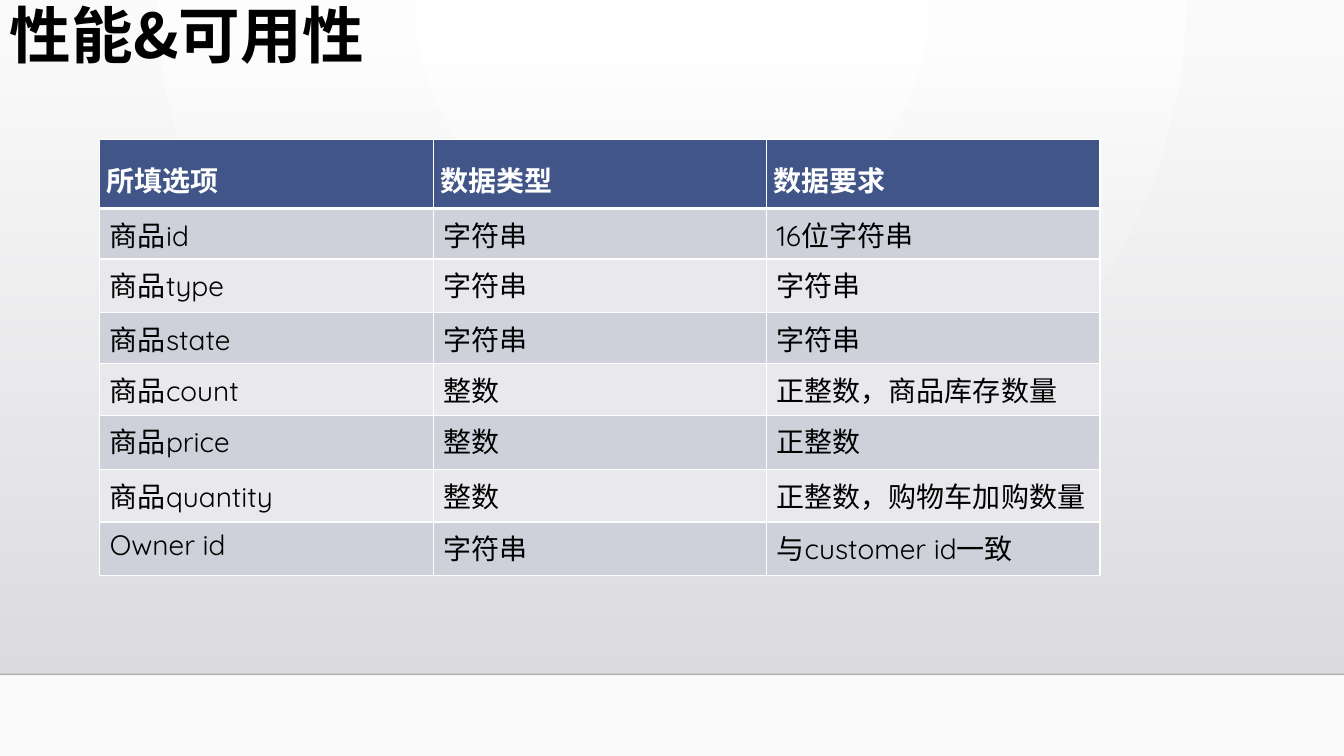
from lxml import etree
from pptx import Presentation
from pptx.dml.color import RGBColor
from pptx.enum.shapes import MSO_CONNECTOR, MSO_SHAPE
from pptx.enum.text import PP_ALIGN
from pptx.oxml.ns import qn
from pptx.util import Inches, Pt

RECTANGLE = MSO_SHAPE.RECTANGLE
STRAIGHT = MSO_CONNECTOR.STRAIGHT
JUSTIFY = PP_ALIGN.JUSTIFY

SLIDE_WIDTH, SLIDE_HEIGHT = 13.33, 7.5
LATIN_FONT, CHINESE_FONT = "Quicksand", "Noto Sans CJK SC"
COLORS = {
    "white": "FFFFFF",
    "background_edge": "FAFAFA",
    "panel_top": "DCDCE0",
    "panel_bottom": "DEDEE2",
    "floor_line": "000001",
    "text": "000000",
    "header": "415588",
    "odd_row": "CFD1DA",
    "even_row": "E9E9ED",
}
ROW_HEIGHTS = [0.69, 0.5, 0.53, 0.51, 0.51, 0.54, 0.52, 0.53]
FIELDS = [
    ("所填选项", "数据类型", "数据要求"),
    ("商品id", "字符串", "16位字符串"),
    ("商品type", "字符串", "字符串"),
    ("商品state", "字符串", "字符串"),
    ("商品count", "整数", "正整数，商品库存数量"),
    ("商品price", "整数", "正整数"),
    ("商品quantity", "整数", "正整数，购物车加购数量"),
    ("Owner id", "字符串", "与customer id一致"),
]


def color(name):
    return RGBColor.from_string(COLORS[name])


def set_gradient(fill, start, end):
    fill.gradient()
    for stop, position, name in zip(fill.gradient_stops, (0, 1), (start, end)):
        stop.position = position
        stop.color.rgb = color(name)


def set_opacity(element, percent):
    for color_element in element.iter(qn("a:srgbClr")):
        etree.SubElement(color_element, qn("a:alpha"), val=str(percent * 1000))
        break


def format_paragraph(paragraph, size, color_name, bold, latin_font):
    for run in paragraph.runs:
        run.font.size = Pt(size)
        run.font.bold = bold
        run.font.color.rgb = color(color_name)
        run.font.name = latin_font
        latin = run._r.rPr.find(qn("a:latin"))
        east_asian = etree.Element(qn("a:ea"), typeface=CHINESE_FONT)
        latin.addnext(east_asian)


def paint_background(slide):
    fill = slide.background.fill
    set_gradient(fill, "white", "background_edge")
    gradient = slide._element.find(".//" + qn("a:gradFill"))
    gradient.remove(gradient.find(qn("a:lin")))
    circle = etree.SubElement(gradient, qn("a:path"), path="circle")
    etree.SubElement(circle, qn("a:fillToRect"), l="43000", t="0", r="43000", b="100000")


def add_panel(slide, left, top, width, height):
    panel = slide.shapes.add_shape(
        RECTANGLE, Inches(left), Inches(top), Inches(width), Inches(height))
    panel.shadow.inherit = False
    panel.line.fill.background()
    set_gradient(panel.fill, "panel_top", "panel_bottom")
    panel.fill.gradient_angle = 270
    set_opacity(panel._element.spPr, 0)

    bottom = Inches(top + height)
    floor_line = slide.shapes.add_connector(
        STRAIGHT, Inches(left), bottom, Inches(left + width), bottom)
    floor_line.line.width = Pt(1)
    floor_line.line.color.rgb = color("floor_line")
    properties = floor_line._element.spPr
    set_opacity(properties, 20)
    etree.SubElement(properties, qn("a:effectLst"))


def add_title(slide, left, top, width, height):
    box = slide.shapes.add_textbox(
        Inches(left), Inches(top), Inches(width), Inches(height))
    box.text_frame.word_wrap = True
    box.text_frame.text = "性能&可用性"
    paragraph = box.text_frame.paragraphs[0]
    paragraph.line_spacing = 0.9
    format_paragraph(paragraph, 44, "text", True, CHINESE_FONT)


def set_borders(cell, widths):
    properties = cell._tc.get_or_add_tcPr()
    for index, (side, width) in enumerate(widths.items()):
        border = etree.Element(qn(f"a:ln{side}"), w=str(Pt(width)))
        solid = etree.SubElement(border, qn("a:solidFill"))
        etree.SubElement(solid, qn("a:srgbClr"), val=COLORS["white"])
        properties.insert(index, border)


def format_cell(cell, row_index):
    is_header = row_index == 0
    paragraph = cell.text_frame.paragraphs[0]
    if is_header:
        cell.margin_left = cell.margin_right = Inches(0.07)
        cell.margin_top = cell.margin_bottom = 0
        paragraph.alignment = JUSTIFY
        paragraph.line_spacing = 1.5
        fill_name = "header"
    else:
        fill_name = "odd_row" if row_index % 2 else "even_row"
    cell.fill.solid()
    cell.fill.fore_color.rgb = color(fill_name)
    format_paragraph(paragraph, 20, "white" if is_header else "text", is_header, LATIN_FONT)
    set_borders(cell, {
        "L": 1,
        "R": 1,
        "T": 3 if row_index == 1 else 1,
        "B": 3 if is_header else 1,
    })


def add_field_table(slide, left, top, width):
    column_count = len(FIELDS[0])
    frame = slide.shapes.add_table(
        len(FIELDS), column_count, Inches(left), Inches(top),
        Inches(width), Inches(sum(ROW_HEIGHTS)))
    table = frame.table
    table.horz_banding = False
    for column in table.columns:
        column.width = Inches(width / column_count)
    for row_index, (height, texts) in enumerate(zip(ROW_HEIGHTS, FIELDS)):
        table.rows[row_index].height = Inches(height)
        for column_index, text in enumerate(texts):
            cell = table.cell(row_index, column_index)
            cell.text_frame.text = text
            format_cell(cell, row_index)


def main():
    presentation = Presentation()
    presentation.slide_width = Inches(SLIDE_WIDTH)
    presentation.slide_height = Inches(SLIDE_HEIGHT)
    slide = presentation.slides.add_slide(presentation.slide_layouts[6])
    paint_background(slide)
    add_panel(slide, 0, 0.51, SLIDE_WIDTH, 6.18)
    add_title(slide, 0, 0, 10.5, 1.15)
    add_field_table(slide, 0.99, 1.38, 9.92)
    presentation.save("out.pptx")


if __name__ == "__main__":
    main()
